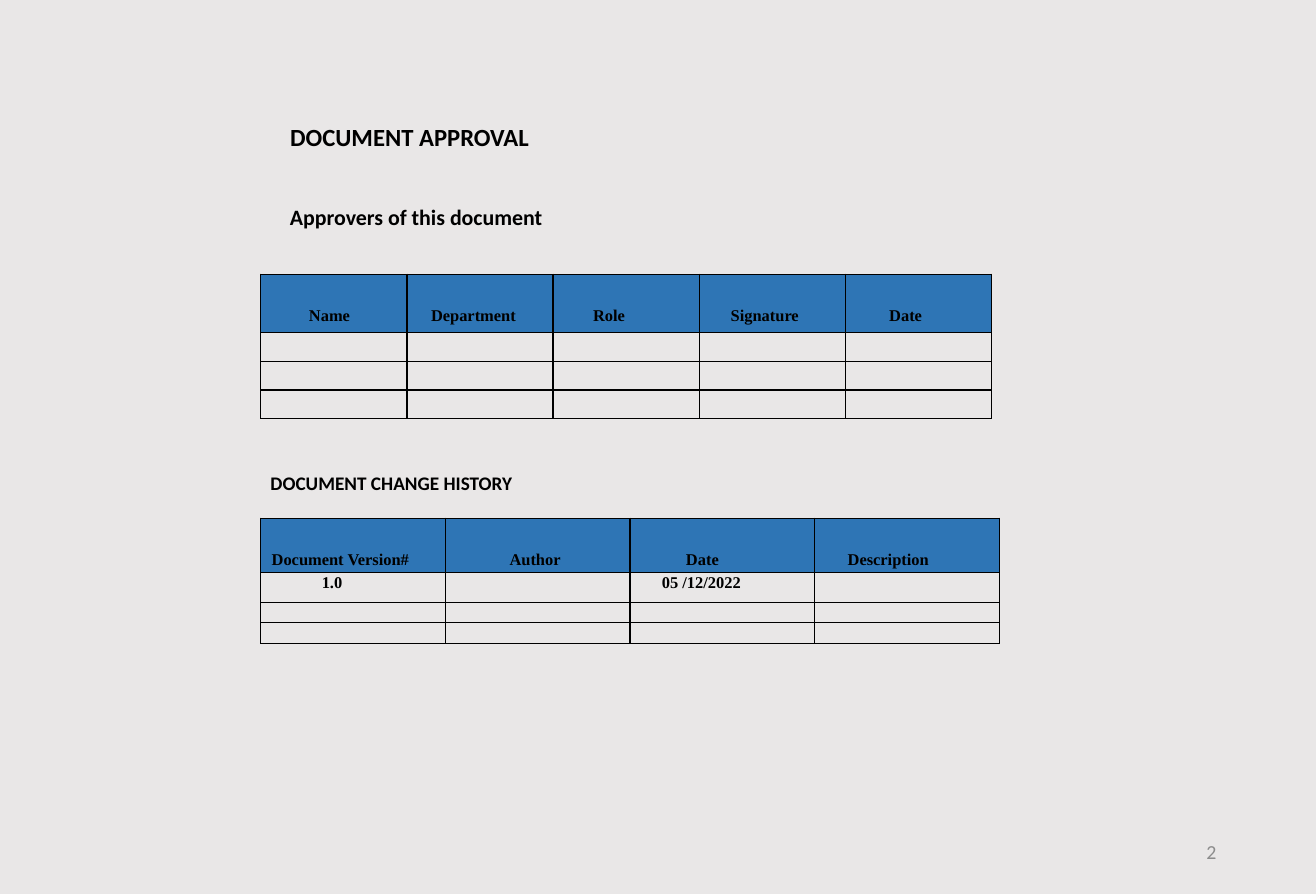
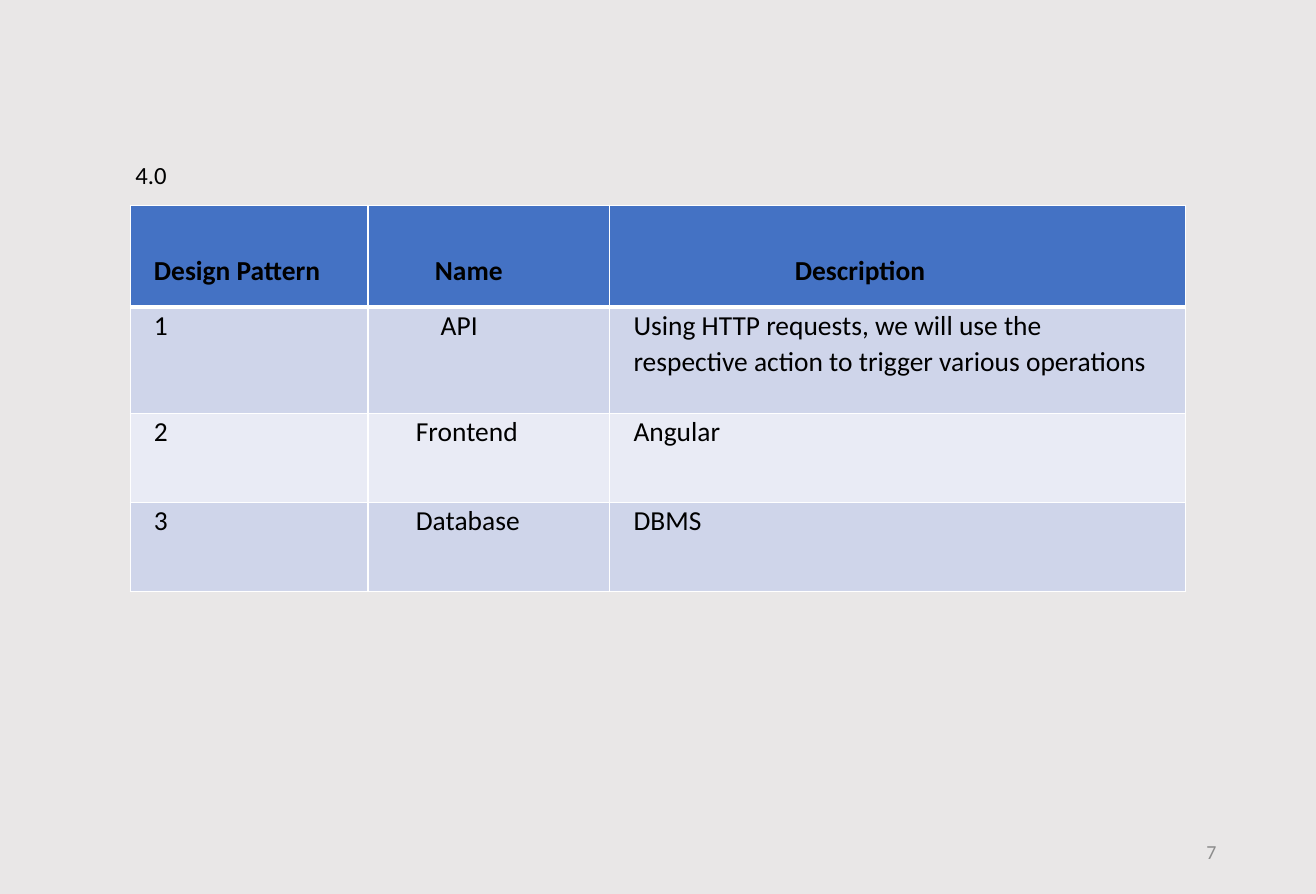
from lxml.etree import SubElement
from pptx import Presentation
from pptx.dml.color import RGBColor
from pptx.enum.text import MSO_ANCHOR as Anchor, PP_ALIGN as Align
from pptx.oxml.ns import qn
from pptx.util import Cm, Pt

COLORS = {
    "page": "E9E7E7",
    "text": "000000",
    "number": "8C8C8C",
    "form_head": "2E75B5",
    "pattern_head": "4472C4",
    "band_dark": "CFD5EA",
    "band_light": "E9EBF5",
    "grid_dark": "000000",
    "grid_light": "FFFFFF",
}
SANS, SERIF = "Calibri", "Times New Roman"
TITLE_ONLY = 5
NO_STYLE = "{2D5ABB26-0587-4C30-8999-92F81FD0307C}"
LINE_SPACING = 1.07
EMPTY = ("", 0.18)


def rgb(name):
    return RGBColor.from_string(COLORS[name])


def add_text(para, text, size, font=SANS, bold=False, color="text"):
    span = para.add_run()
    span.text = text
    span.font.name = font
    span.font.size = Pt(size)
    span.font.bold = bold
    span.font.color.rgb = rgb(color)


def fill_box(box, place, text, size, bold=False, color="text",
             align=Align.LEFT, anchor=Anchor.TOP, spacing=LINE_SPACING):
    box.left, box.top, box.width, box.height = (Cm(length) for length in place)
    frame = box.text_frame
    frame.word_wrap = True
    frame.vertical_anchor = anchor
    para = frame.paragraphs[0]
    para.alignment = align
    para.line_spacing = spacing
    add_text(para, text, size, bold=bold, color=color)


def add_label(page, place, text, size, **style):
    box = page.shapes.add_textbox(0, 0, 0, 0)
    fill_box(box, place, text, size, **style)


def add_page(deck, number, title, place, bold, spacing):
    page = deck.slides.add_slide(deck.slide_layouts[TITLE_ONLY])
    page.background.fill.solid()
    page.background.fill.fore_color.rgb = rgb("page")
    fill_box(page.shapes.title, place, title, 18, bold=bold, spacing=spacing)
    add_label(page, (23.93, 21.31, 7.62, 1.22), number, 14.5, color="number",
              align=Align.RIGHT, anchor=Anchor.MIDDLE, spacing=1.0)
    return page


def set_borders(cell, color, bottom):
    props = cell._tc.get_or_add_tcPr()
    for side, width in (("L", 1), ("R", 1), ("T", 1), ("B", bottom)):
        line = SubElement(props, qn(f"a:ln{side}"), w=str(Pt(width)))
        fill = SubElement(line, qn("a:solidFill"))
        SubElement(fill, qn("a:srgbClr"), val=COLORS[color])


def fill_cell(cell, text, indent, top, right, fill, size, font, bold):
    cell.margin_left, cell.margin_right = Cm(indent), Cm(right)
    cell.margin_top, cell.margin_bottom = Cm(top), 0
    if fill:
        cell.fill.solid()
        cell.fill.fore_color.rgb = rgb(fill)
    else:
        cell.fill.background()
    para = cell.text_frame.paragraphs[0]
    para.line_spacing = LINE_SPACING
    if text:
        add_text(para, text, size, font, bold)
    else:
        SubElement(para._p, qn("a:endParaRPr"), sz=str(size * 100))


def add_grid(page, left, top, widths, heights, rows, head_fill, head_top, size,
             font, grid, bands=(None,), right=0.18, bold_body=True, rule=1):
    frame = page.shapes.add_table(len(rows), len(widths), Cm(left), Cm(top),
                                  Cm(sum(widths)), Cm(sum(heights)))
    table = frame.table
    table.first_row = table.horz_banding = False
    table._tbl.tblPr.find(qn("a:tableStyleId")).text = NO_STYLE
    for column, width in zip(table.columns, widths):
        column.width = Cm(width)
    for row, height in zip(table.rows, heights):
        row.height = Cm(height)
    for index, entries in enumerate(rows):
        is_head = index == 0
        fill = head_fill if is_head else bands[(index - 1) % len(bands)]
        for column, (text, indent) in enumerate(entries):
            cell = table.cell(index, column)
            set_borders(cell, grid, rule if is_head else 1)
            fill_cell(cell, text, indent, head_top if is_head else 0, right,
                      fill, size, font, is_head or bold_body)


def add_approval_page(deck):
    page = add_page(deck, "2", "DOCUMENT APPROVAL", (7.21, 2.95, 15.85, 1.1),
                    bold=True, spacing=LINE_SPACING)
    add_label(page, (7.21, 5.08, 15.85, 1), "Approvers of this document", 16,
              bold=True)
    add_label(page, (6.71, 11.96, 20, 0.86), "DOCUMENT CHANGE HISTORY", 14,
              bold=True)
    form = dict(head_fill="form_head", head_top=0.8, size=12, font=SERIF,
                grid="grid_dark")
    approvers = [("Name", 1.24), ("Department", 0.62), ("Role", 1.03),
                 ("Signature", 0.81), ("Date", 1.13)]
    add_grid(page, 6.71, 7.06, [3.76] * 5, [1.5] + [0.74] * 3,
             [approvers] + [[EMPTY] * 5] * 3, **form)
    history = [
        [("Document Version#", 0.28), ("Author", 1.65), ("Date", 1.44),
         ("Description", 0.85)],
        [("1.0", 1.57), EMPTY, ("05 /12/2022", 0.82), EMPTY],
    ]
    add_grid(page, 6.71, 13.34, [4.75] * 4, [1.4, 0.76, 0.53, 0.53],
             history + [[EMPTY] * 4] * 2, **form)


def add_pattern_page(deck):
    page = add_page(deck, "7", "4.0", (3.23, 3.99, 22.76, 1.02),
                    bold=False, spacing=1.0)
    edge = 0.61
    patterns = [
        [("Design Pattern", edge), ("Name", 1.72), ("Description", 4.76)],
        [("1", edge), ("API", 1.87),
         ("Using HTTP requests, we will use the respective action to trigger "
          "various operations", edge)],
        [("2", edge), ("Frontend", 1.23), ("Angular", edge)],
        [("3", edge), ("Database", 1.23), ("DBMS", edge)],
    ]
    add_grid(page, 3.35, 5.28, [6.12, 6.22, 14.81], [2.62, 2.74, 2.29, 2.29],
             patterns, head_fill="pattern_head", head_top=1.2, size=20,
             font=SANS, grid="grid_light", bands=("band_dark", "band_light"),
             right=edge, bold_body=False, rule=3)


def main():
    deck = Presentation()
    deck.slide_width, deck.slide_height = Cm(33.86), Cm(23.01)
    add_approval_page(deck)
    add_pattern_page(deck)
    deck.save("out.pptx")


if __name__ == "__main__":
    main()
